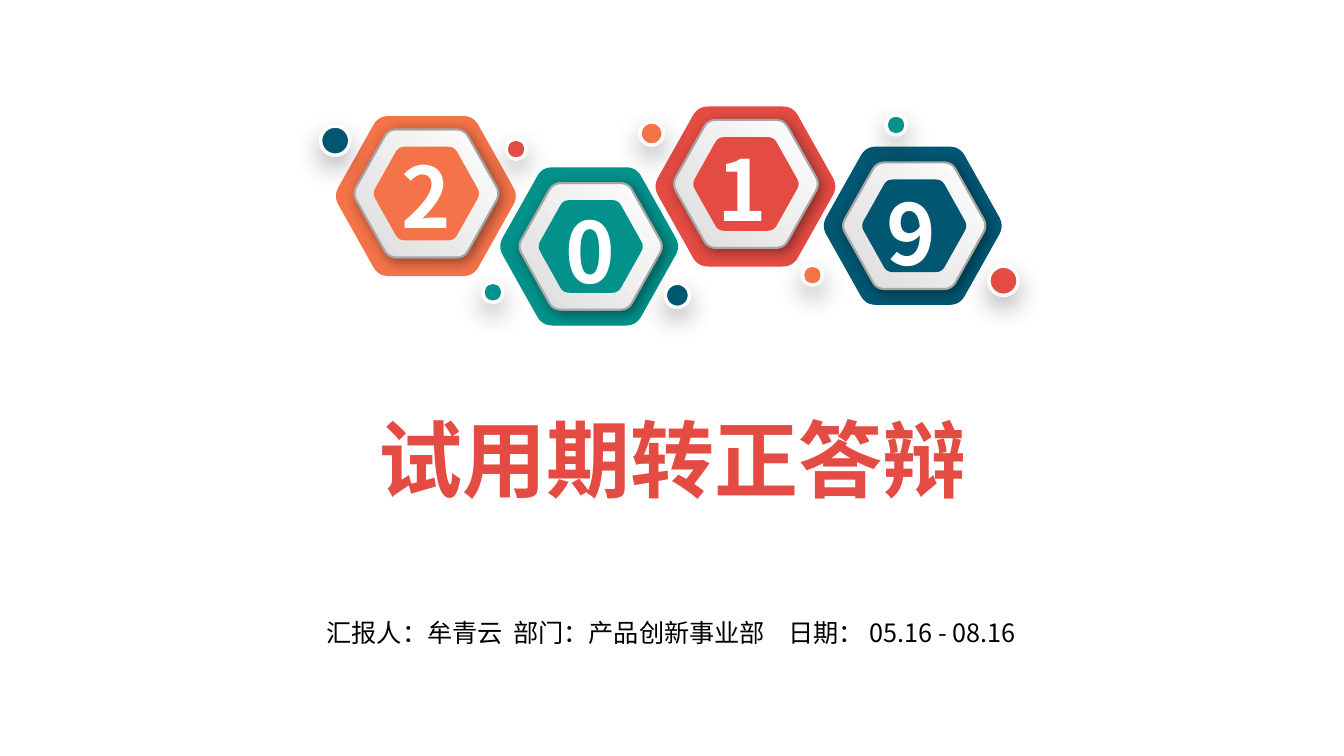
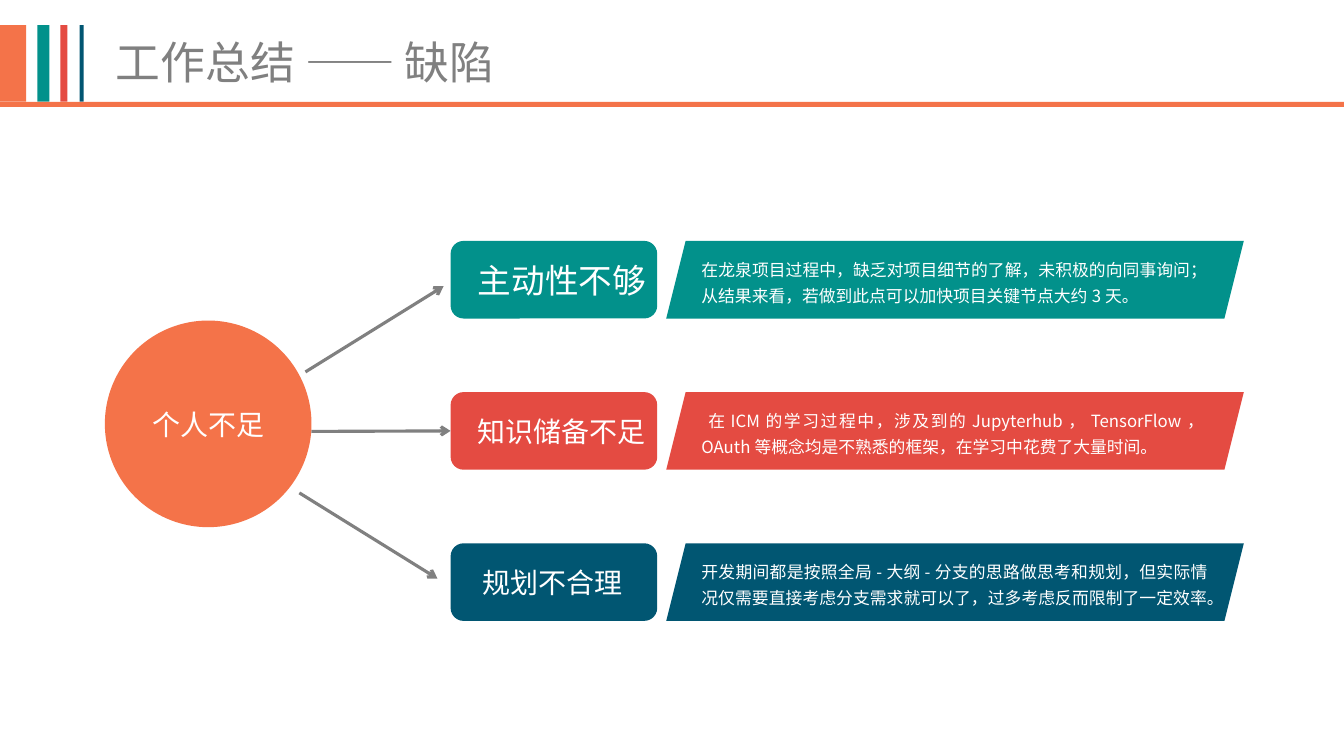
from lxml.etree import SubElement as Sub
from pptx import Presentation as Deck
from pptx.dml.color import RGBColor as Rgb
from pptx.enum.shapes import MSO_CONNECTOR as Link, MSO_SHAPE as Kind
from pptx.enum.text import MSO_ANCHOR as Anchor, PP_ALIGN as Align
from pptx.oxml.ns import qn
from pptx.util import Inches, Pt

# The grid has ten cells to the inch.
CELL = Inches(0.1)
WIDE, HIGH = 133.33, 75
FONT = "Noto Sans CJK SC"
HUES = {
    "orange": "F47349", "teal": "02918B", "red": "E44B42", "navy": "015672",
    "gray": "808080", "rim": "A6A6A6", "silver": "DCDCDC", "smoke": "262626",
    "white": "FFFFFF", "black": "000000",
}


def hue(name):
    return Rgb.from_string(HUES[name])


def cells(*sizes):
    return [round(size * CELL) for size in sizes]


def write(shape, text, size=20, color="white", bold=False, align=Align.CENTER,
          wrap=True, inset=1, pitch=None):
    """Fill a shape with one centred-height paragraph; pitch is in points."""
    frame = shape.text_frame
    frame.word_wrap = wrap
    frame.vertical_anchor = Anchor.MIDDLE
    frame.margin_left = frame.margin_right = cells(inset)[0]
    frame.margin_top = frame.margin_bottom = 0
    para = frame.paragraphs[0]
    para.alignment = align
    if pitch:
        para.line_spacing = Pt(pitch)
    run = para.add_run()
    run.text = text
    font = run.font
    font.size, font.bold, font.name = Pt(size), bold, FONT
    font.color.rgb = hue(color)
    Sub(run._r.get_or_add_rPr(), qn("a:ea"), typeface=FONT)
    return shape


def shade(shape, color, alpha, blur, dist, angle):
    """Cast an outer shadow: alpha in percent, lengths in points."""
    effects = shape._element.spPr.find(qn("a:effectLst"))
    cast = Sub(effects, qn("a:outerShdw"), blurRad=str(Pt(blur)),
               dist=str(Pt(dist)), dir=str(angle * 60000),
               algn="ctr", rotWithShape="0")
    tint = Sub(cast, qn("a:srgbClr"), val=HUES[color])
    Sub(tint, qn("a:alpha"), val=str(alpha * 1000))


def outline(x, y, wide, high, cut=0.11, steps=6):
    """Points of a hexagon around (x, y), its corners rounded by curves."""
    tips = [(-0.263, -0.5), (0.263, -0.5), (0.512, 0),
            (0.263, 0.5), (-0.263, 0.5), (-0.512, 0)]
    points = []
    for i, tip in enumerate(tips):
        start, end = ([t + cut * (n - t) for t, n in zip(tip, near)]
                      for near in (tips[i - 1], tips[(i + 1) % 6]))
        for step in range(steps + 1):
            t = step / steps
            u, v = ((1 - t) ** 2 * a + 2 * t * (1 - t) * b + t * t * c
                    for a, b, c in zip(start, tip, end))
            points.append(cells(x + u * wide, y + v * high))
    return points


class Board:
    """The deck's style and the slide being drawn."""

    def __init__(self):
        self.deck = Deck()
        self.deck.slide_width, self.deck.slide_height = cells(WIDE, HIGH)

    def page(self):
        self.slide = self.deck.slides.add_slide(self.deck.slide_layouts[6])

    def paint(self, shape, color, rim=None, width=1):
        shape.shadow.inherit = False
        shape.fill.solid()
        shape.fill.fore_color.rgb = hue(color)
        if rim:
            shape.line.color.rgb = hue(rim)
            shape.line.width = Pt(width)
        else:
            shape.line.fill.background()
        return shape

    def shape(self, kind, x, y, wide, high, color, **rim):
        item = self.slide.shapes.add_shape(kind, *cells(x, y, wide, high))
        return self.paint(item, color, **rim)

    def text(self, x, y, wide, high, words, **look):
        box = self.slide.shapes.add_textbox(*cells(x, y, wide, high))
        return write(box, words, **look)

    def hexa(self, x, y, wide, color, **rim):
        points = outline(x, y, wide, wide * 0.887)
        pen = self.slide.shapes.build_freeform(*points[0])
        pen.add_line_segments(points[1:], close=True)
        return self.paint(pen.convert_to_shape(), color, **rim)

    def badge(self, digit, color, wide, base, ring, spot):
        """Nest three hexagons and set a digit; each place is a centre."""
        self.hexa(*base, wide, color)
        band = self.hexa(*ring, wide * 0.8, "white", rim="rim", width=1.5)
        band.fill.gradient()
        band.fill.gradient_angle = 225
        for stop, tone in zip(band.fill.gradient_stops, ("white", "silver")):
            stop.color.rgb = hue(tone)
        shade(band, "black", 40, 9, 3, 45)
        self.hexa(*ring, wide * 0.585, color)
        x, y = spot
        self.text(x - 3.5, y - 5.5, 7, 11, digit, size=60, bold=True)

    def dot(self, x, y, size, color):
        ball = self.shape(Kind.OVAL, x, y, size, size, color,
                          rim="white", width=2.5)
        shade(ball, "smoke", 33, 18, 8, 90)

    def arrow(self, start, end, goal=None):
        line = self.slide.shapes.add_connector(
            Link.STRAIGHT, *cells(*start, *end))
        line.line.color.rgb = hue("gray")
        line.line.width = Pt(2.25)
        Sub(line.line._get_or_add_ln(), qn("a:tailEnd"), type="arrow")
        Sub(line._element.spPr, qn("a:effectLst"))
        if goal:
            line.end_connect(goal, 1)

    def head(self, title):
        self.text(10.5, 2.9, 51.2, 6.4, title, size=32, color="gray",
                  align=Align.LEFT)
        bars = ((0, 2.6, "orange"), (3.7, 1.2, "teal"),
                (6, 0.7, "red"), (7.9, 0.4, "navy"))
        for x, wide, color in bars:
            self.shape(Kind.RECTANGLE, x, 2.5, wide, 7.6, color)
        self.shape(Kind.RECTANGLE, 0, 10.1, WIDE, 0.5, "orange")


def cover(board):
    board.page()
    badges = (
        ("2", "orange", 17.9, (42.25, 19.45), (42.3, 19.2), (42.3, 19.35)),
        ("0", "teal", 17.7, (58.45, 24.45), (58.6, 24.45), (58.6, 24.75)),
        ("1", "red", 17.9, (73.95, 18.5), (74, 18.25), (73.6, 18.65)),
        ("9", "navy", 17.7, (90.55, 22.4), (90.7, 22.4), (90.4, 23.05)),
    )
    for badge in badges:
        board.badge(*badge)
    dots = (
        (98.1, 26.4, 2.9, "red"), (79.6, 26.3, 2, "orange"),
        (63.5, 12.1, 2.3, "orange"), (87.9, 11.4, 2, "teal"),
        (66, 28.1, 2.4, "navy"), (50.2, 13.8, 2, "red"),
        (47.9, 28, 2, "teal"), (31.8, 12.5, 2.9, "navy"),
    )
    for dot in dots:
        board.dot(*dot)
    board.text(16.9, 41.9, 99.6, 7, "试用期转正答辩", size=60, color="red",
               bold=True)
    facts = ((32.4, "汇报人：牟青云"), (50.9, "部门：产品创新事业部"),
             (78.2, "日期：05.16 - 08.16"))
    for x, fact in facts:
        board.text(x, 61.4, 27, 2.7, fact, size=18, color="black",
                   align=Align.LEFT, inset=0)


def flaws(board):
    board.page()
    board.head("工作总结 —— 缺陷")
    rows = (
        ("主动性不够", 24, 46.4, "teal",
         "在龙泉项目过程中，缺乏对项目细节的了解，未积极的向同事询问；"
         "从结果来看，若做到此点可以加快项目关键节点大约3天。"),
        ("知识储备不足", 20, 46.4, "red",
         " 在ICM的学习过程中，涉及到的Jupyterhub，TensorFlow，"
         "OAuth等概念均是不熟悉的框架，在学习中花费了大量时间。"),
        ("规划不合理", 20, 45.5, "navy",
         "开发期间都是按照全局-大纲-分支的思路做思考和规划，但实际情况"
         "仅需要直接考虑分支需求就可以了，过多考虑反而限制了一定效率。"),
    )
    top, step, high = 23.9, 15, 7.7
    pills = []
    for i, (label, size, left, color, note) in enumerate(rows):
        y = top + i * step
        pills.append(board.shape(Kind.ROUNDED_RECTANGLE, 44.7, y, 20.5, high,
                                 color))
        board.text(left, y, 18.7, high, label, size=size, wrap=False)
        board.shape(Kind.PARALLELOGRAM, 66.1, y, 57.3, high, color)
        board.text(68.6, y, 52.2, high, note, size=12, align=Align.JUSTIFY,
                   pitch=18.6)
    board.arrow((30.3, 36.9), (44, 28.4))
    board.arrow((30.9, 42.8), (44.7, 42.8), goal=pills[1])
    board.arrow((29.7, 48.9), (43.4, 57.4))
    hub = board.shape(Kind.OVAL, 10.4, 31.8, 20.5, 20.5, "orange")
    write(hub, "个人不足")


def main():
    board = Board()
    cover(board)
    flaws(board)
    board.deck.save("out.pptx")


if __name__ == "__main__":
    main()
